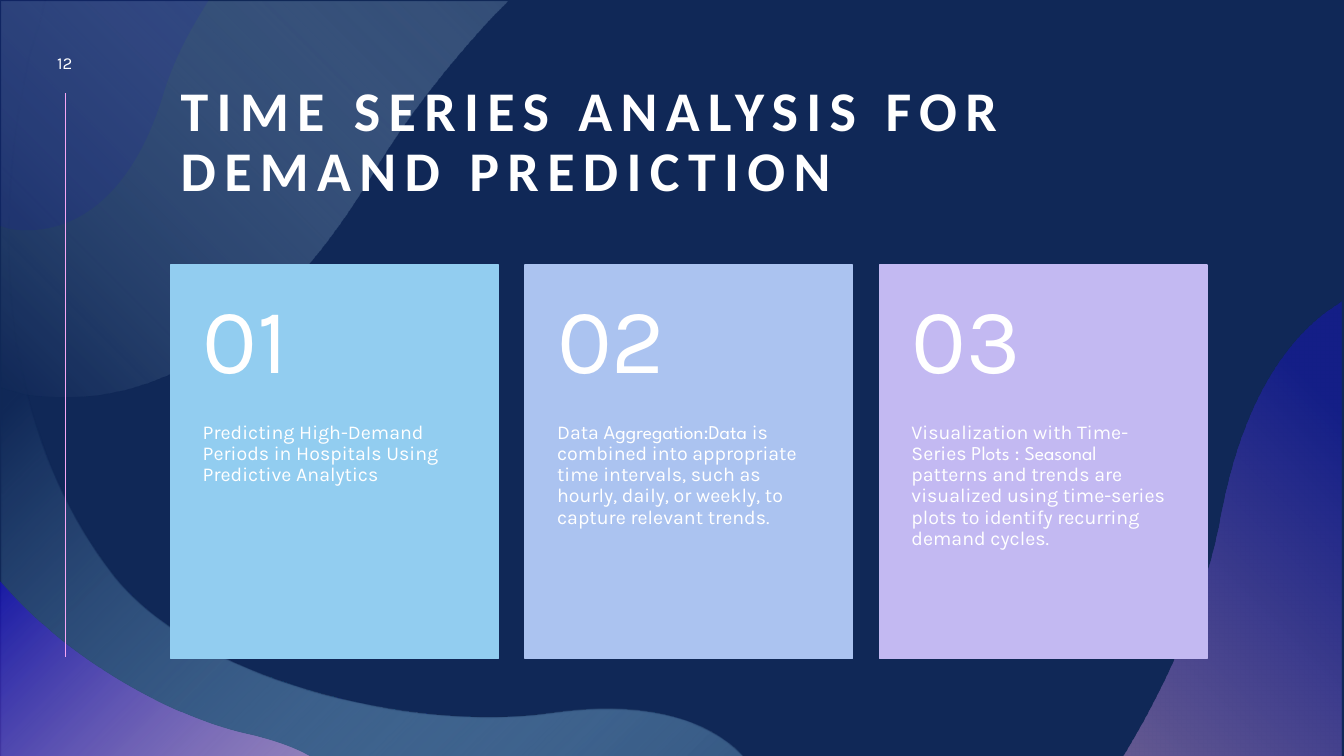
from lxml.etree import SubElement
from pptx import Presentation
from pptx.dml.color import RGBColor
from pptx.enum.shapes import MSO_CONNECTOR, MSO_SHAPE
from pptx.enum.text import MSO_ANCHOR, MSO_AUTO_SIZE, PP_ALIGN
from pptx.oxml import parse_xml
from pptx.oxml.ns import nsdecls, qn
from pptx.util import Cm, Pt

TITLE = "TIME SERIES ANALYSIS FOR DEMAND PREDICTION"
PAGE = "12"
CARDS = [
    ("01", "92CDF0", ["Predicting High-Demand Periods in Hospitals Using Predictive Analytics"]),
    ("02", "ABC3F0", ["Data ", "Aggregation:Data",
                      " is combined into appropriate time intervals, such as hourly, daily, "
                      "or weekly, to capture relevant trends."]),
    ("03", "C3B9F2", ["Visualization with Time-Series ", "Plots : Seasonal",
                      " patterns and trends are visualized using time-series plots to identify "
                      "recurring demand cycles."]),
]
THEME = {
    "navy": "102857", "white": "FFFFFF", "pink": "F6A6F4",
    "head": "Calibri", "body": "Karla", "mark": "League Spartan",
    "title": 40, "page": 12, "num": 66, "text": 14,
}
WAVES = [
    {"stops": [(0, "92CDF0", 30), (73, "102857", 100)], "focus": (100, 100, 0, 0),
     "path": [(0.05, 0), (1.17, 0), (1.14, 0.05),
              (1.04, 0.51, 0.91, 0.97, 0.74, 1.47),
              (-0.56, 7.49, 0.81, 11.81, 2.82, 14.43),
              (4.8, 17.07, 10.34, 18.49, 13.92, 17.96),
              (16.1, 17.65, 17.6, 18.06, 18.52, 18.85),
              (18.72, 19.05), (0.05, 19.05)]},
    {"stops": [(0, "102857", 56), (99, "BEE1F6", 20)], "angle": 315,
     "path": [(0.03, 0.03), (12.78, 0.03), (12.4, 0.41),
              (11.25, 1.65, 10.24, 2.95, 9.47, 4.22),
              (6.68, 8.97, 3.4, 10.39, 0.58, 9.91), (0.03, 9.75)]},
    {"stops": [(0, "180DC2", 11)],
     "path": [(0, 0), (5.26, 0), (5.11, 0.25),
              (4.65, 0.99, 4.29, 1.75, 4.09, 2.46),
              (3.25, 5.13, 1.7, 5.99, 0.25, 5.77), (0, 5.69)]},
    {"stops": [(0, "F6A6F4", 45), (98, "180DC2", 67)], "focus": (100, 100, 0, 0),
     "path": [(0, 14.63), (0.28, 14.94),
              (1.8, 16.61, 4.19, 18.01, 6.15, 18.47),
              (6.71, 18.59, 7.21, 18.75, 7.62, 18.95), (7.8, 19.05), (0, 19.05)]},
    {"stops": [(0, "F7AFF5", 36), (83, "1C0FE1", 35)], "focus": (0, 100, 100, 0),
     "path": [(33.81, 7.59), (33.81, 19.05), (28.32, 19.05), (28.63, 18.52),
              (29.69, 16.66, 30.48, 14.68, 30.78, 12.93),
              (31.27, 10.39, 32.21, 8.79, 33.4, 7.87)]},
]
LEFT, TOP, WIDE, HIGH, STEP = 4.3, 6.68, 8.26, 9.91, 8.93
SPLIT = 0.4 * HIGH


def tint(code, alpha):
    return f'<a:srgbClr val="{code}"><a:alpha val="{alpha * 1000}"/></a:srgbClr>'


def paint(wave):
    stops = wave["stops"]
    if len(stops) == 1:
        return parse_xml(f'<a:solidFill {nsdecls("a")}>{tint(*stops[0][1:])}</a:solidFill>')
    marks = "".join(f'<a:gs pos="{pos * 1000}">{tint(code, alpha)}</a:gs>'
                    for pos, code, alpha in stops)
    if "focus" in wave:
        sides = " ".join(f'{side}="{val * 1000}"' for side, val in zip("ltrb", wave["focus"]))
        flow = f'<a:path path="circle"><a:fillToRect {sides}/></a:path>'
    else:
        flow = f'<a:lin ang="{wave["angle"] * 60000}" scaled="0"/>'
    return parse_xml(f'<a:gradFill {nsdecls("a")} rotWithShape="1">'
                     f'<a:gsLst>{marks}</a:gsLst>{flow}</a:gradFill>')


def bend(shape, path):
    lines = list(shape._element.iter(qn("a:lnTo")))
    for line, part in zip(lines, path[1:]):
        if len(part) == 6:
            dots = "".join(f'<a:pt x="{Cm(x) - shape.left}" y="{Cm(y) - shape.top}"/>'
                           for x, y in zip(part[::2], part[1::2]))
            curve = parse_xml(f'<a:cubicBezTo {nsdecls("a")}>{dots}</a:cubicBezTo>')
            line.getparent().replace(line, curve)


def add_wave(slide, wave):
    path = wave["path"]
    ends = [(Cm(part[-2]), Cm(part[-1])) for part in path]
    form = slide.shapes.build_freeform(*ends[0], scale=1.0)
    form.add_line_segments(ends[1:], close=True)
    shape = form.convert_to_shape()
    bend(shape, path)
    shape.shadow.inherit = False
    shape.line.fill.background()
    shape._element.spPr.find(qn("a:custGeom")).addnext(paint(wave))


def style(run, face, size, bold=False):
    font = run.font
    font.name, font.size, font.bold = face, Pt(size), bold
    font.color.rgb = RGBColor.from_string(THEME["white"])


def add_text(slide, place, parts, size, pads, anchor, align=PP_ALIGN.LEFT, lead=0.9):
    frame = slide.shapes.add_textbox(*map(Cm, place)).text_frame
    frame.word_wrap = True
    frame.vertical_anchor = anchor
    (frame.margin_left, frame.margin_top,
     frame.margin_right, frame.margin_bottom) = map(Cm, pads)
    para = frame.paragraphs[0]
    para.alignment, para.line_spacing = align, lead
    for i, part in enumerate(parts):
        run = para.add_run()
        run.text = part
        style(run, THEME["mark" if i % 2 else "body"], size)


def add_card(slide, left, num, code, parts):
    rect = slide.shapes.add_shape(MSO_SHAPE.RECTANGLE, *map(Cm, (left, TOP, WIDE, HIGH)))
    rect.shadow.inherit = False
    rect.fill.solid()
    rect.fill.fore_color.rgb = rect.line.color.rgb = RGBColor.from_string(code)
    rect.line.width = Pt(1)
    add_text(slide, (left, TOP + SPLIT, WIDE, HIGH - SPLIT), parts, THEME["text"],
             (0.81, 0, 0.81, 0.91), MSO_ANCHOR.TOP)
    add_text(slide, (left, TOP, WIDE, SPLIT), [num], THEME["num"],
             (0.81, 0.46, 0.81, 0.46), MSO_ANCHOR.MIDDLE)


def add_title(slide):
    title = slide.shapes.title
    title.left, title.top, title.width, title.height = map(Cm, (LEFT, 2.29, 24.66, 2.97))
    frame = title.text_frame
    frame.text = TITLE
    frame.word_wrap = True
    frame.auto_size = MSO_AUTO_SIZE.NONE
    frame.vertical_anchor = MSO_ANCHOR.BOTTOM
    para = frame.paragraphs[0]
    para.alignment, para.line_spacing = PP_ALIGN.LEFT, 0.9
    run = para.runs[0]
    style(run, THEME["head"], THEME["title"], True)
    run.font._element.set("spc", "600")
    slide.shapes._spTree.append(title._element)


def main():
    deck = Presentation()
    deck.slide_width, deck.slide_height = Cm(33.87), Cm(19.05)
    slide = deck.slides.add_slide(deck.slide_layouts[5])
    back = slide.background.fill
    back.solid()
    back.fore_color.rgb = RGBColor.from_string(THEME["navy"])
    for wave in WAVES:
        add_wave(slide, wave)
    rule = slide.shapes.add_connector(MSO_CONNECTOR.STRAIGHT, *map(Cm, (1.65, 2.35, 1.65, 16.56)))
    rule.line.color.rgb = RGBColor.from_string(THEME["pink"])
    rule.line.width = Pt(0.5)
    SubElement(rule._element.spPr, qn("a:effectLst"))
    add_title(slide)
    add_text(slide, (0.91, 1.16, 1.45, 0.86), [PAGE], THEME["page"],
             (0.25, 0.13, 0.25, 0.13), MSO_ANCHOR.MIDDLE, PP_ALIGN.CENTER, 1.0)
    for i, card in enumerate(CARDS):
        add_card(slide, LEFT + i * STEP, *card)
    deck.save("out.pptx")


if __name__ == "__main__":
    main()
